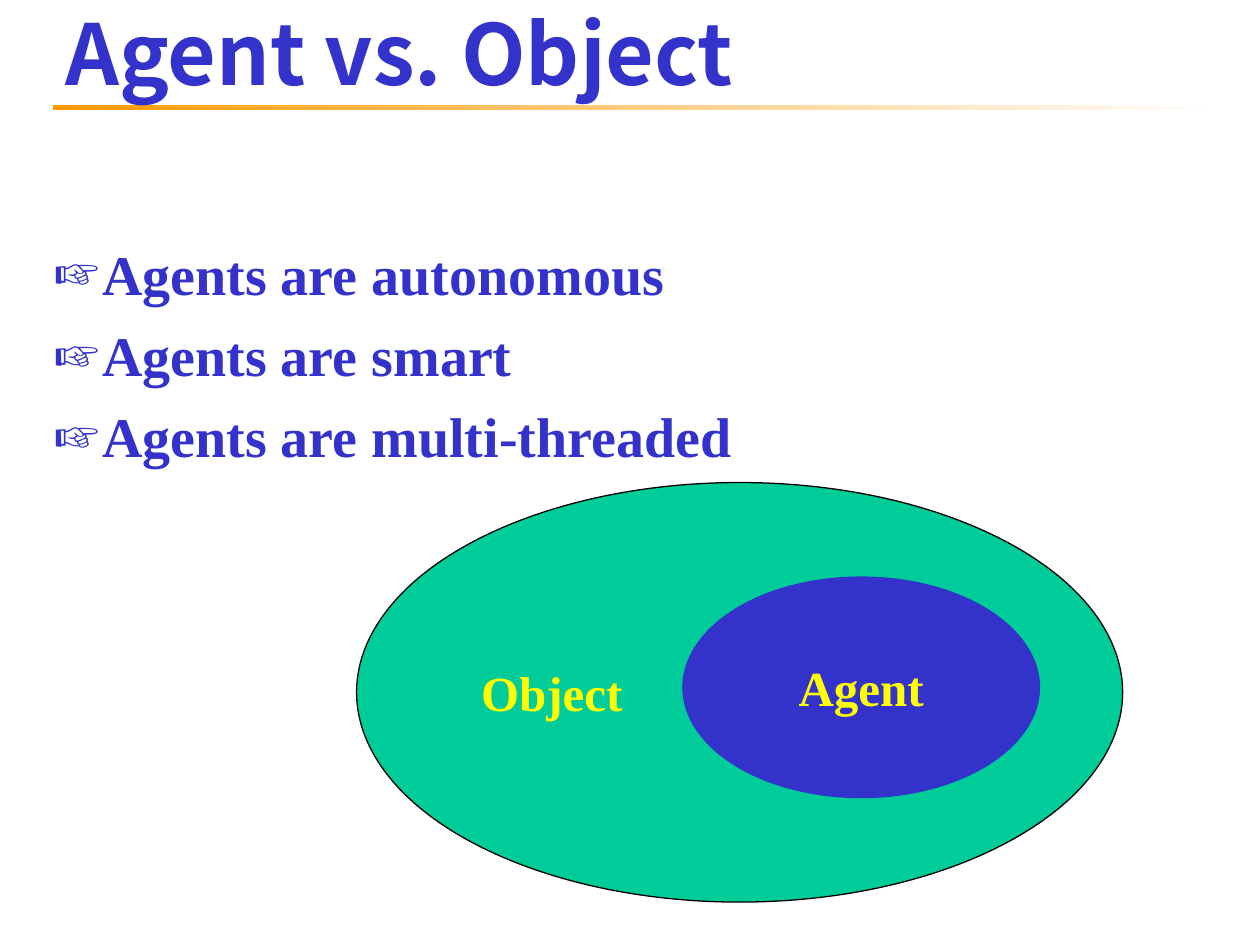
from dataclasses import dataclass

from lxml.etree import SubElement
from pptx import Presentation
from pptx.dml.color import RGBColor
from pptx.enum.shapes import MSO_SHAPE
from pptx.enum.text import MSO_ANCHOR, MSO_AUTO_SIZE, PP_ALIGN
from pptx.oxml.ns import qn
from pptx.util import Inches, Pt


@dataclass(frozen=True)
class Theme:
    blue: RGBColor = RGBColor(0x33, 0x33, 0xCC)
    green: RGBColor = RGBColor(0x00, 0xCC, 0x99)
    yellow: RGBColor = RGBColor(0xFF, 0xFF, 0x00)
    orange: RGBColor = RGBColor(0xFF, 0x99, 0x00)
    white: RGBColor = RGBColor(0xFF, 0xFF, 0xFF)
    black: RGBColor = RGBColor(0x00, 0x00, 0x00)
    title_font: str = "Noto Sans CJK SC"
    text_font: str = "Times New Roman"
    title_size: Pt = Pt(48)
    list_size: Pt = Pt(32)
    label_size: Pt = Pt(28)


theme = Theme()


def add_bold_run(paragraph, text, face, size, color):
    run = paragraph.add_run()
    run.text = text
    run.font.name = face
    run.font.size = size
    run.font.bold = True
    run.font.color.rgb = color


def place(shape, left, top, width, height):
    shape.left, shape.top = Inches(left), Inches(top)
    shape.width, shape.height = Inches(width), Inches(height)


prs = Presentation()
prs.slide_width, prs.slide_height = Inches(10), Inches(7.5)
slide = prs.slides.add_slide(prs.slide_layouts[1])
title, points = slide.placeholders

# Title and the fading rule beneath it
place(title, 0.42, 0, 9.58, 0.83)
title.text_frame.auto_size = MSO_AUTO_SIZE.NONE
title.text_frame.vertical_anchor = MSO_ANCHOR.MIDDLE
heading = title.text_frame.paragraphs[0]
heading.alignment = PP_ALIGN.LEFT
add_bold_run(heading, "Agent vs. Object", theme.title_font, theme.title_size, theme.blue)

rule = slide.shapes.add_shape(
    MSO_SHAPE.RECTANGLE, Inches(0.42), Inches(0.83), Inches(9.25), Inches(0.04))
rule.shadow.inherit = False
rule.line.fill.background()
rule.fill.gradient()
rule.fill.gradient_angle = 0
for stop, color, position in zip(
        rule.fill.gradient_stops, (theme.orange, theme.white), (0, 1)):
    stop.color.rgb = color
    stop.position = position
title._element.addprevious(rule._element)

# Bulleted list
place(points, 0.33, 1.85, 9.33, 5.4)
points.text_frame.auto_size = MSO_AUTO_SIZE.NONE
traits = ["Agents are autonomous", "Agents are smart", "Agents are multi-threaded"]
for index, trait in enumerate(traits):
    item = points.text_frame.add_paragraph() if index else points.text_frame.paragraphs[0]
    item.space_before = Pt(8) if index else Pt(0)
    properties = item._p.get_or_add_pPr()
    properties.set("marL", str(Inches(0.38)))
    properties.set("indent", str(-Inches(0.38)))
    SubElement(properties, qn("a:buFont"), typeface=theme.text_font)
    SubElement(properties, qn("a:buChar"), char="☞")
    add_bold_run(item, trait, theme.text_font, theme.list_size, theme.blue)

# Agents as a subset of objects
sets = [
    ("Object", (2.83, 3.83, 6.08, 3.33), theme.green, theme.black, PP_ALIGN.LEFT),
    ("Agent", (5.42, 4.58, 2.83, 1.75), theme.blue, theme.blue, PP_ALIGN.CENTER),
]
for label, box, fill, outline, alignment in sets:
    ellipse = slide.shapes.add_shape(MSO_SHAPE.OVAL, *map(Inches, box))
    ellipse.shadow.inherit = False
    ellipse.fill.solid()
    ellipse.fill.fore_color.rgb = fill
    ellipse.line.color.rgb = outline
    ellipse.line.width = Pt(0.75)
    ellipse.text_frame.word_wrap = False
    ellipse.text_frame.vertical_anchor = MSO_ANCHOR.MIDDLE
    caption = ellipse.text_frame.paragraphs[0]
    caption.alignment = alignment
    add_bold_run(caption, label, theme.text_font, theme.label_size, theme.yellow)

prs.save("out.pptx")
